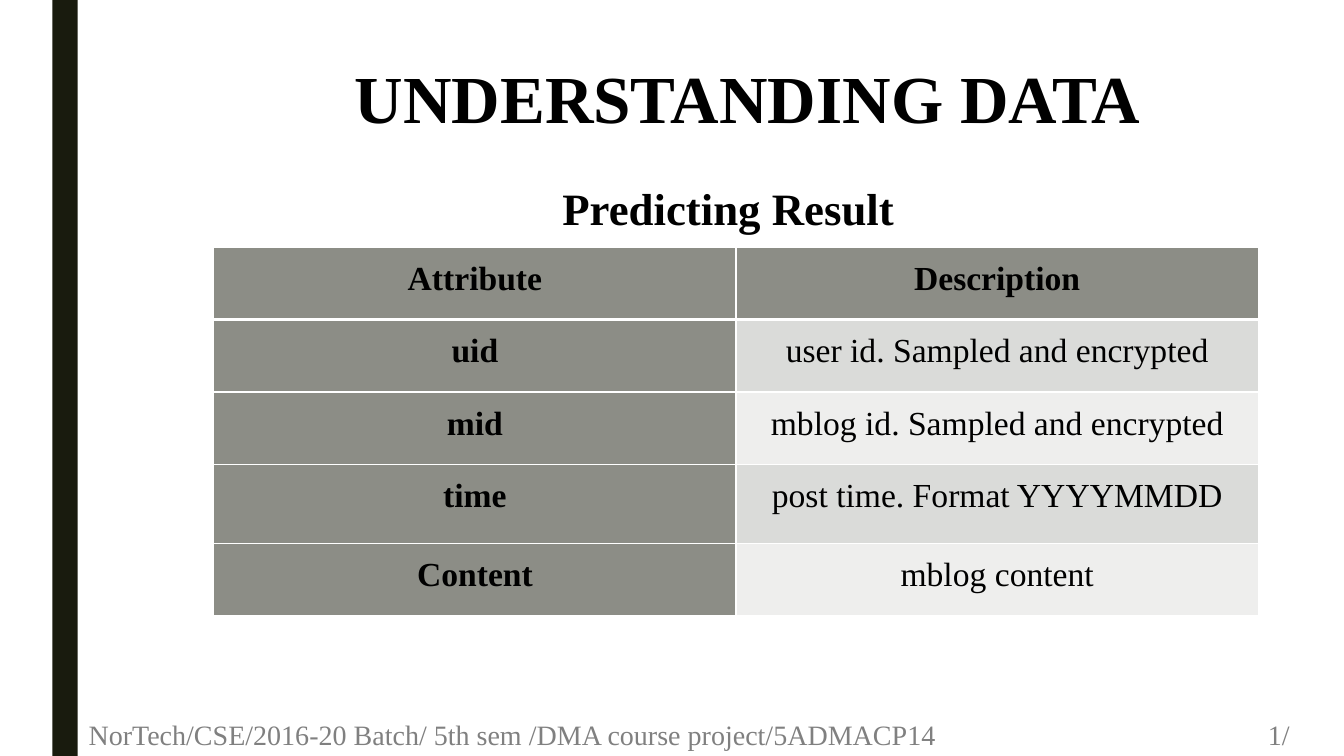
import pptx
import pptx.dml.color
import pptx.enum.shapes
import pptx.enum.text
import pptx.oxml
import pptx.util
from pptx.util import Inches

RGBColor = pptx.dml.color.RGBColor
PP_ALIGN = pptx.enum.text.PP_ALIGN
MSO_ANCHOR = pptx.enum.text.MSO_ANCHOR

FONT = "Times New Roman"
BLACK = RGBColor(0x00, 0x00, 0x00)
GRAY = RGBColor(0x80, 0x80, 0x80)
BAR = RGBColor(0x19, 0x1B, 0x0E)
HEAD = RGBColor(0x8C, 0x8D, 0x86)
BANDS = (RGBColor(0xDA, 0xDB, 0xD9), RGBColor(0xEE, 0xEE, 0xED))
BORDER = RGBColor(0xFF, 0xFF, 0xFF)

ROWS = [
    ("Attribute", "Description"),
    ("uid", "user id. Sampled and encrypted"),
    ("mid", "mblog id. Sampled and encrypted"),
    ("time", "post time. Format YYYYMMDD"),
    ("Content", "mblog content"),
]
ROW_HEIGHTS = (0.72, 0.72, 0.72, 0.78, 0.72)


def write(tf, text, size=24, color=BLACK, bold=False, align=PP_ALIGN.LEFT, spacing=None):
    p = tf.paragraphs[0]
    p.alignment = align
    p.line_spacing = spacing
    r = p.add_run()
    r.text = text
    r.font.name = FONT
    r.font.size = pptx.util.Pt(size)
    r.font.bold = bold
    r.font.color.rgb = color


def add_text(s, left, top, width, height, text, anchor=MSO_ANCHOR.TOP, **fmt):
    tf = s.shapes.add_textbox(Inches(left), Inches(top), Inches(width), Inches(height)).text_frame
    tf.word_wrap = True
    tf.vertical_anchor = anchor
    write(tf, text, **fmt)


def add_bar(s):
    sp = s.shapes.add_shape(pptx.enum.shapes.MSO_SHAPE.RECTANGLE,
                            Inches(0.52), 0, Inches(0.25), Inches(7.5))
    sp.shadow.inherit = False
    sp.fill.solid()
    sp.fill.fore_color.rgb = BAR
    sp.line.fill.background()


def set_borders(cell, **widths):
    pr = cell._tc.get_or_add_tcPr()
    for i, side in enumerate("LRTB"):
        width = pptx.util.Pt(widths.get(side, 1))
        pr.insert(i, pptx.oxml.parse_xml(
            f'<a:ln{side} xmlns:a="http://schemas.openxmlformats.org/drawingml/2006/main" w="{width}">'
            f'<a:solidFill><a:srgbClr val="{BORDER}"/></a:solidFill></a:ln{side}>'))


def fill_cell(cell, row, col, text):
    heading = row == 0 or col == 0
    cell.margin_left = cell.margin_right = Inches(0.07)
    cell.margin_top = Inches(0.25)
    cell.margin_bottom = 0
    cell.fill.solid()
    cell.fill.fore_color.rgb = HEAD if heading else BANDS[(row - 1) % 2]
    set_borders(cell, T=3 if row == 1 else 1, B=3 if row == 0 else 1)
    write(cell.text_frame, text, bold=heading, align=PP_ALIGN.CENTER, spacing=pptx.util.Pt(18))


def add_attribute_table(s):
    table = s.shapes.add_table(len(ROWS), 2, Inches(2.12), Inches(2.45),
                               Inches(10.36), Inches(sum(ROW_HEIGHTS))).table
    for row, texts in enumerate(ROWS):
        table.rows[row].height = Inches(ROW_HEIGHTS[row])
        for col, text in enumerate(texts):
            fill_cell(table.cell(row, col), row, col, text)


def main():
    prs = pptx.Presentation()
    prs.slide_width, prs.slide_height = Inches(13.33), Inches(7.5)
    s = prs.slides.add_slide(prs.slide_layouts[6])
    add_bar(s)
    add_text(s, 5.48, 1.74, 3.63, 0.64, "Predicting Result", size=32, bold=True)
    add_attribute_table(s)
    add_text(s, 3.42, 0.51, 8.07, 0.91, "UNDERSTANDING DATA", size=48, bold=True)
    footer = dict(anchor=MSO_ANCHOR.BOTTOM, size=20, color=GRAY, spacing=0.89)
    add_text(s, 0.78, 7.17, 11, 0.33,
             "NorTech/CSE/2016-20 Batch/ 5th sem /DMA course project/5ADMACP14", **footer)
    add_text(s, 11.89, 7.17, 1, 0.33, "1/", align=PP_ALIGN.RIGHT, **footer)
    prs.save("out.pptx")


if __name__ == "__main__":
    main()
